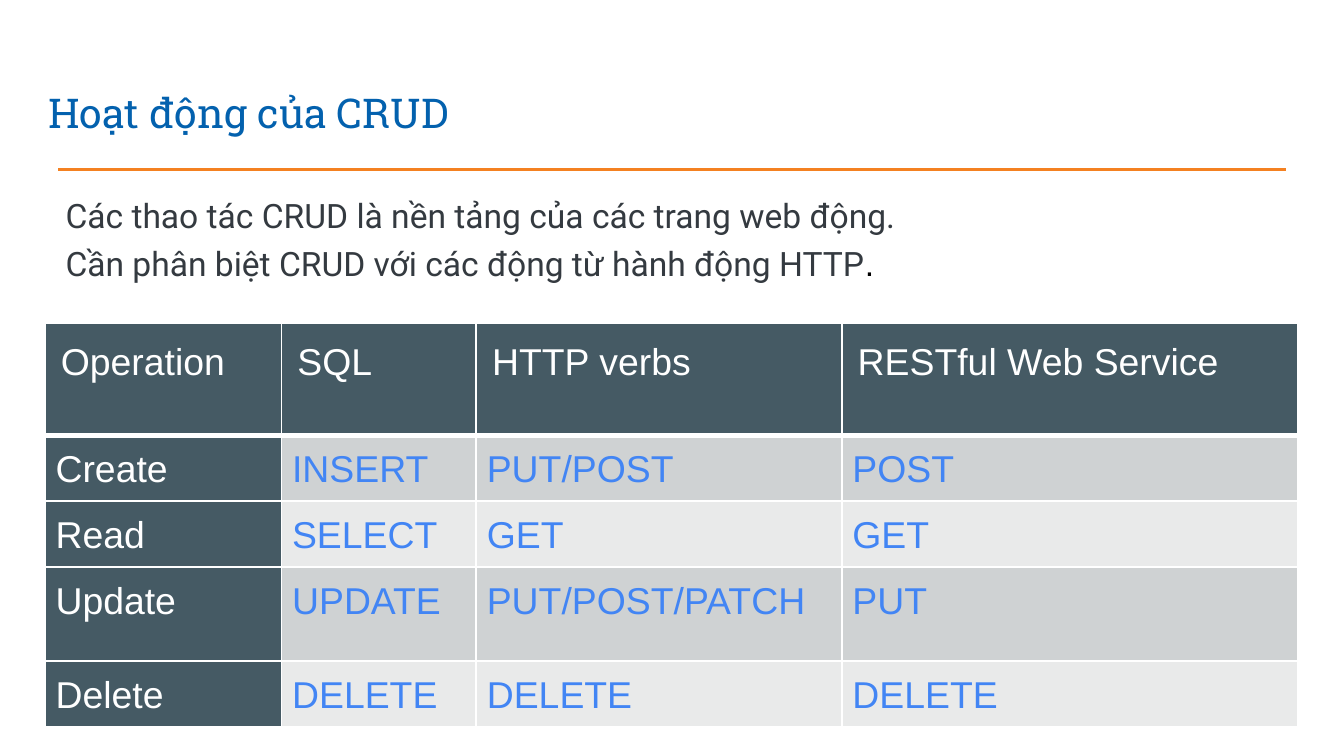
"""Build the slide about CRUD operations and their SQL, HTTP and REST counterparts."""
from dataclasses import dataclass

from lxml.etree import SubElement
from pptx import Presentation
from pptx.dml.color import RGBColor
from pptx.enum.shapes import MSO_CONNECTOR
from pptx.enum.text import MSO_ANCHOR, MSO_AUTO_SIZE, PP_ALIGN
from pptx.oxml import parse_xml
from pptx.oxml.ns import nsdecls, qn
from pptx.util import Cm, Pt


@dataclass(frozen=True)
class Theme:
    """Colours, fonts and type sizes of the slide."""
    title: str = "0361AE"
    rule: str = "F48121"
    ink: str = "343A40"
    stop: str = "000000"
    head: str = "455A64"
    odd: str = "CFD2D3"
    even: str = "E9EAEA"
    value: str = "4285F4"
    white: str = "FFFFFF"
    title_font: str = "Roboto Slab"
    body_font: str = "Roboto"
    table_font: str = "Arial"
    title_pt: int = 22
    body_pt: int = 18
    table_pt: int = 20


@dataclass(frozen=True)
class Row:
    """One table row with its height in centimetres."""
    texts: tuple[str, ...]
    height: float = 1.12


@dataclass(frozen=True)
class CellStyle:
    """Look of one table cell."""
    fill: str
    color: str
    inset: float
    align: PP_ALIGN
    bottom: int


THEME = Theme()
WIDTHS = (4.47, 3.68, 6.91, 8.61)
ROWS = (
    Row(("Operation", "SQL", "HTTP verbs", "RESTful Web Service"), 2.13),
    Row(("Create", "INSERT", "PUT/POST", "POST")),
    Row(("Read", "SELECT", "GET", "GET")),
    Row(("Update", "UPDATE", "PUT/POST/PATCH", "PUT"), 1.78),
    Row(("Delete", "DELETE", "DELETE", "DELETE")),
)


def set_font(font, name: str, size: int, color: str) -> None:
    """Give a font its face, size and colour."""
    font.name, font.size, font.bold = name, Pt(size), False
    font.color.rgb = RGBColor.from_string(color)


def set_insets(box, inset: float) -> None:
    """Set the same margin on all four sides."""
    box.margin_left = box.margin_top = box.margin_right = box.margin_bottom = Cm(inset)


def add_title(s, text: str) -> None:
    """Place and format the title placeholder."""
    sp = s.shapes.title
    sp.left, sp.top, sp.width, sp.height = Cm(0.66), Cm(1.24), Cm(23.67), Cm(1.6)
    tf = sp.text_frame
    tf.text = text
    tf.vertical_anchor = MSO_ANCHOR.BOTTOM
    tf.auto_size = MSO_AUTO_SIZE.NONE
    set_insets(tf, 0.25)
    p = tf.paragraphs[0]
    p.alignment = PP_ALIGN.LEFT
    set_font(p.font, THEME.title_font, THEME.title_pt, THEME.title)


def add_rule(s) -> None:
    """Draw the line under the title."""
    line = s.shapes.add_connector(MSO_CONNECTOR.STRAIGHT, Cm(1.1), Cm(3.2), Cm(24.3), Cm(3.2))
    line.line.color.rgb = RGBColor.from_string(THEME.rule)
    line.line.width = Pt(1.5)
    SubElement(line._element.spPr, qn("a:effectLst"))


def add_intro(s) -> None:
    """Write the two introductory sentences."""
    tf = s.shapes.add_textbox(Cm(0.99), Cm(3.4), Cm(23.57), Cm(2.06)).text_frame
    tf.word_wrap = True
    tf.auto_size = MSO_AUTO_SIZE.SHAPE_TO_FIT_TEXT
    tf.text = ("Các thao tác CRUD là nền tảng của các trang web động.\n"
               "Cần phân biệt CRUD với các động từ hành động HTTP")
    for p in tf.paragraphs:
        p.alignment, p.line_spacing = PP_ALIGN.JUSTIFY, 1.2
        set_font(p.runs[0].font, THEME.body_font, THEME.body_pt, THEME.ink)
    r = tf.paragraphs[-1].add_run()
    r.text = "."
    set_font(r.font, THEME.table_font, THEME.body_pt, THEME.stop)


def set_borders(cell, bottom: int) -> None:
    """Put white borders around a cell."""
    tc_pr = cell._tc.get_or_add_tcPr()
    for i, (side, width) in enumerate(zip("LRTB", (1, 1, 1, bottom))):
        tc_pr.insert(i, parse_xml(
            f'<a:ln{side} {nsdecls("a")} w="{Pt(width)}"><a:solidFill>'
            f'<a:srgbClr val="{THEME.white}"/></a:solidFill></a:ln{side}>'))


def style_for(row: int, col: int) -> CellStyle:
    """Choose the look of a cell from its place in the table."""
    if row == 0:
        return CellStyle(THEME.head, THEME.white, 0.3, PP_ALIGN.LEFT, 3)
    if col == 0:
        return CellStyle(THEME.head, THEME.white, 0.2, PP_ALIGN.JUSTIFY, 1)
    band = THEME.odd if row % 2 else THEME.even
    return CellStyle(band, THEME.value, 0.2, PP_ALIGN.JUSTIFY, 1)


def fill_cell(cell, text: str, style: CellStyle) -> None:
    """Write and format one cell."""
    cell.text = text
    set_insets(cell, style.inset)
    cell.fill.solid()
    cell.fill.fore_color.rgb = RGBColor.from_string(style.fill)
    p = cell.text_frame.paragraphs[0]
    p.alignment, p.line_spacing = style.align, 1.07
    set_font(p.font, THEME.table_font, THEME.table_pt, style.color)
    set_borders(cell, style.bottom)


def add_crud_table(s, rows: tuple[Row, ...], widths: tuple[float, ...]) -> None:
    """Build the table of operations."""
    height = sum(row.height for row in rows)
    table = s.shapes.add_table(len(rows), len(widths), Cm(0.85), Cm(6.1),
                               Cm(sum(widths)), Cm(height)).table
    table.first_row = table.horz_banding = False
    for column, width in zip(table.columns, widths):
        column.width = Cm(width)
    for i, row in enumerate(rows):
        table.rows[i].height = Cm(row.height)
        for j, text in enumerate(row.texts):
            fill_cell(table.cell(i, j), text, style_for(i, j))


def main() -> None:
    """Assemble and save the presentation."""
    prs = Presentation()
    prs.slide_width, prs.slide_height = Cm(25.4), Cm(14.29)
    s = prs.slides.add_slide(prs.slide_layouts[5])
    add_rule(s)
    add_title(s, "Hoạt động của CRUD")
    add_crud_table(s, ROWS, WIDTHS)
    add_intro(s)
    prs.save("out.pptx")


if __name__ == "__main__":
    main()
